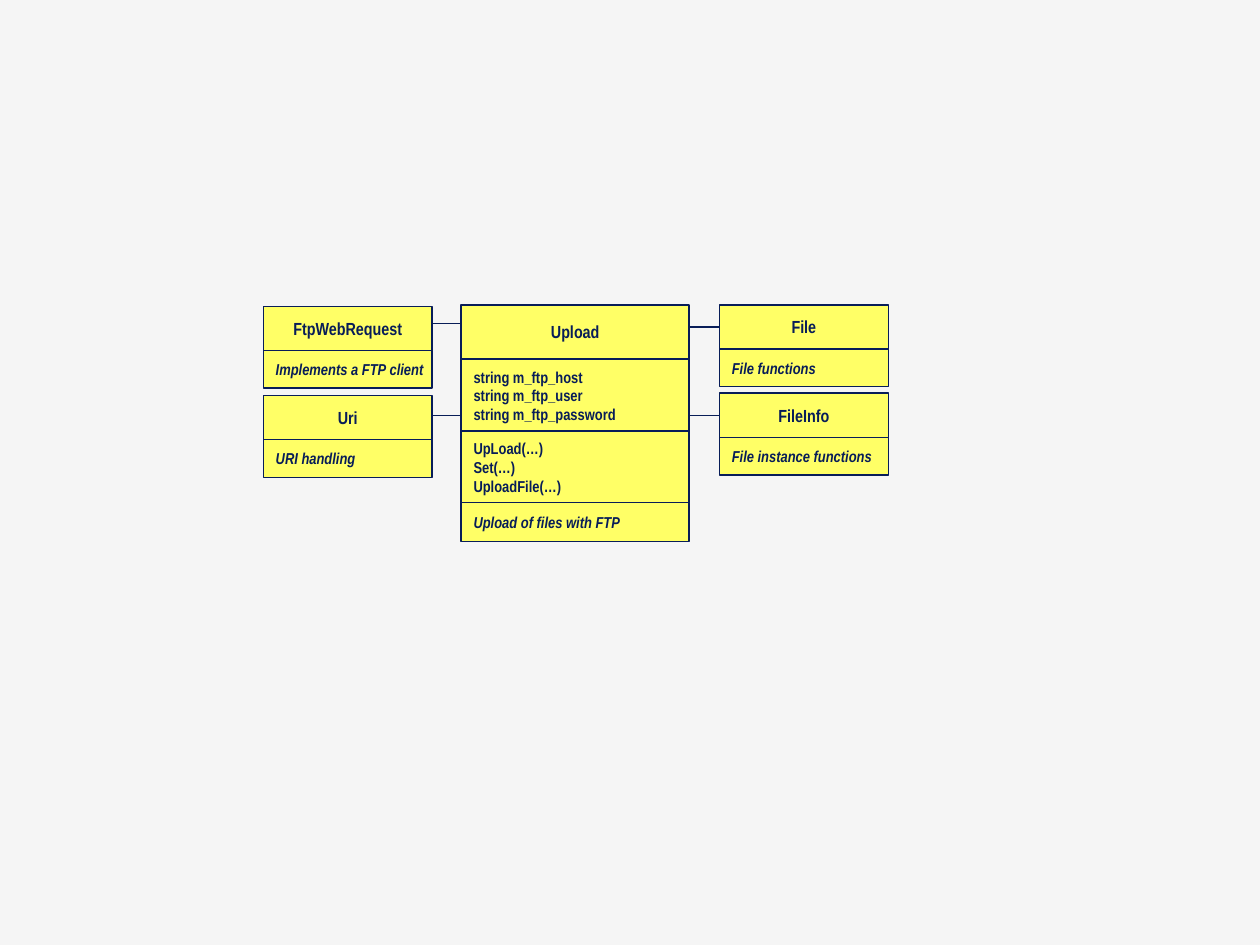
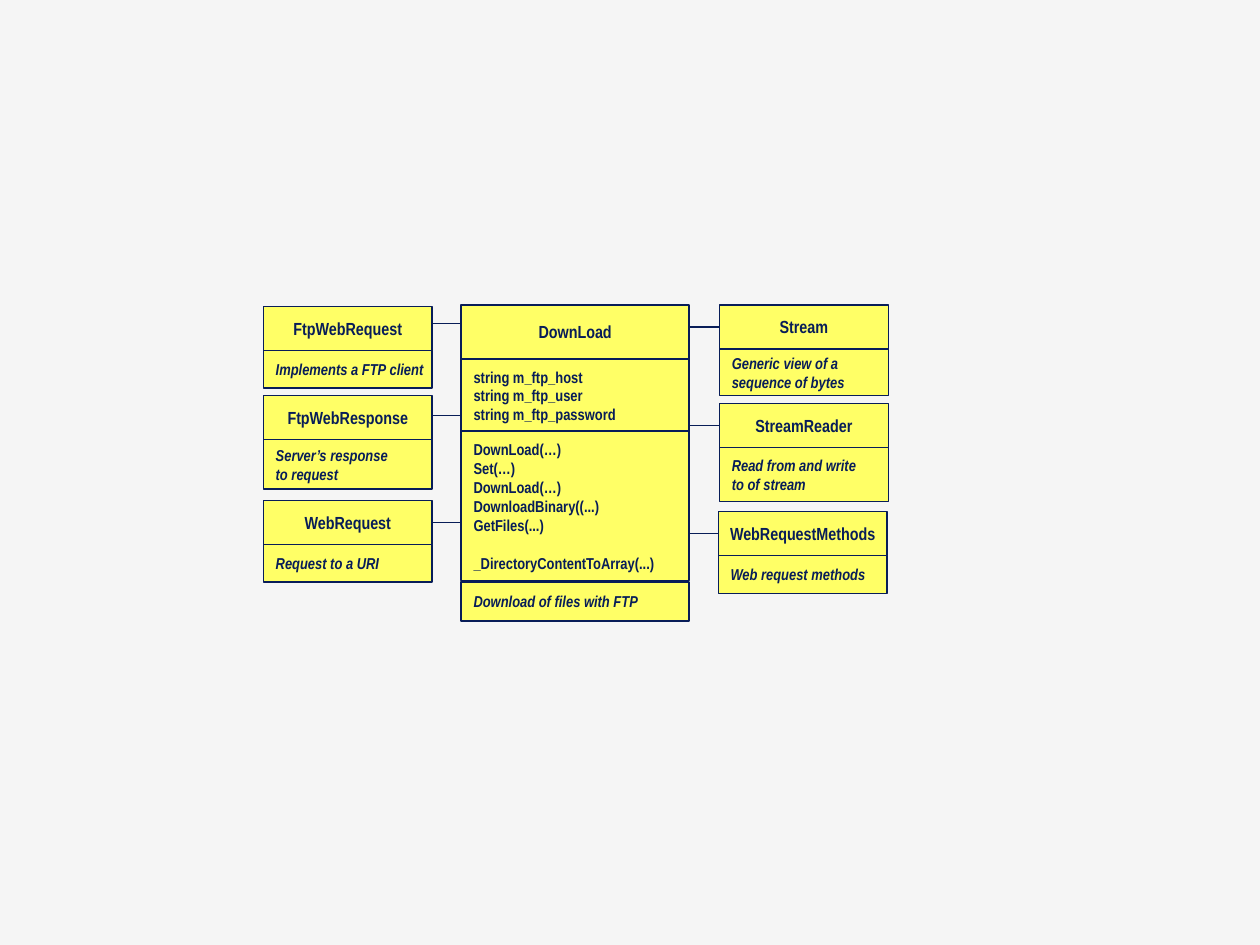
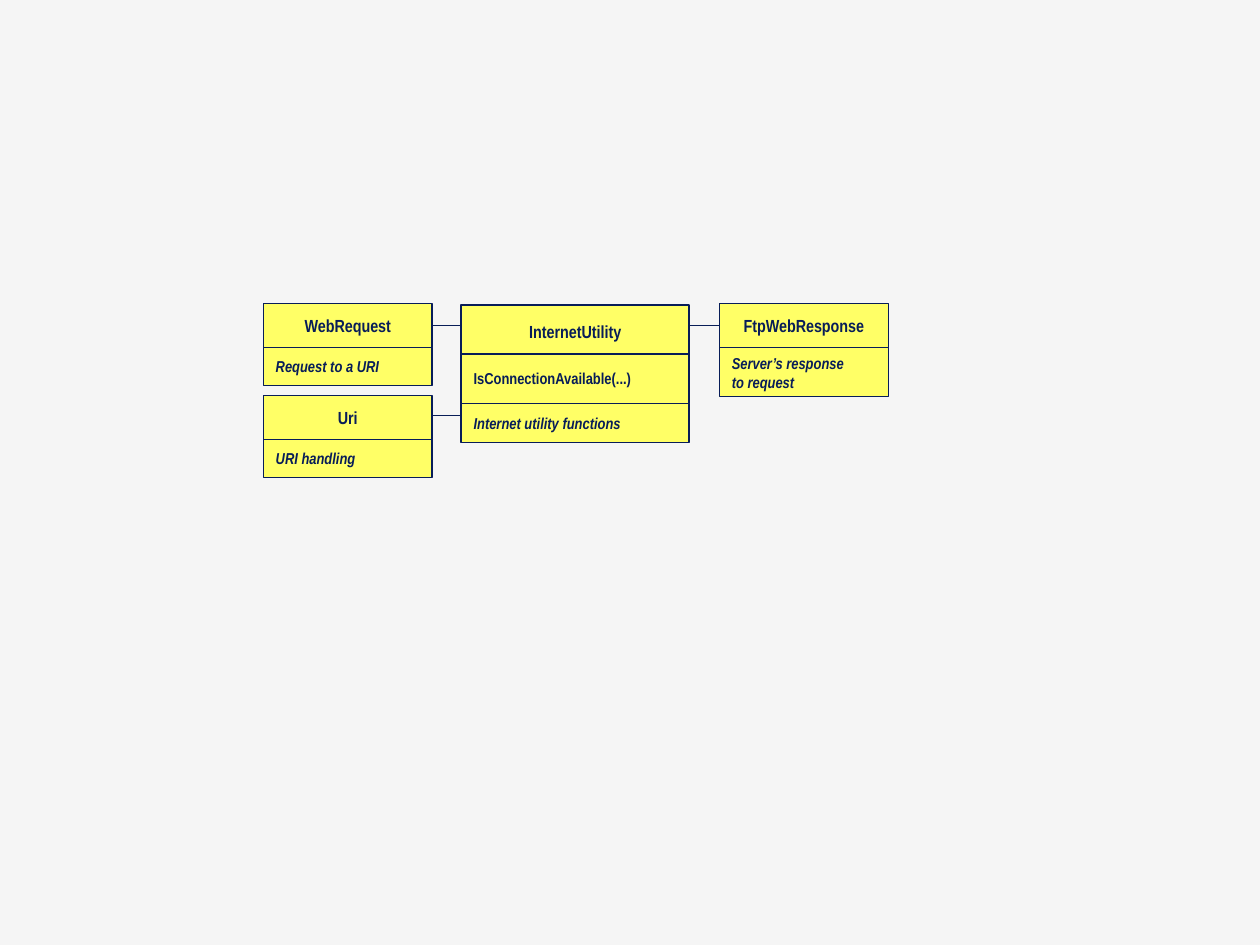
from pptx import Presentation
from pptx.dml.color import RGBColor
from pptx.enum import shapes, text
from pptx.oxml.ns import qn
from pptx.util import Inches, Pt

PAPER, YELLOW, NAVY = "F5F5F5", "FFFF66", "081D58"
FONT = "Arial Narrow"
LINE_WIDTH = Pt(0.75)
PRIVATE_GAP = Pt(10.8)  # sets private methods apart from public ones

LEFT_X, CORE_X, RIGHT_X = 2.09, 3.66, 5.71
SIDE_WIDTH, CORE_WIDTH = 1.34, 1.81
SIDE_TITLE_HEIGHT = 0.35

# Text styles: size, italic, alignment
TITLE = (10, False, text.PP_ALIGN.CENTER)
MEMBERS = (9, False, text.PP_ALIGN.LEFT)
NOTE = (9, True, text.PP_ALIGN.LEFT)

FTP_FIELDS = ["string m_ftp_host", "string m_ftp_user", "string m_ftp_password"]
FTP_REQUEST = dict(name="FtpWebRequest", note=["Implements a FTP client"],
                   top=2.43, note_height=0.3, link_y=2.57)
URI = dict(name="Uri", note=["URI handling"], top=3.14, note_height=0.3, link_y=3.3)
SERVER_RESPONSE = dict(name="FtpWebResponse", note=["Server’s response", "to request"],
                       note_height=0.39)
WEB_REQUEST = dict(name="WebRequest", note=["Request to a URI"], note_height=0.3)

# Core compartments: lines, style, top, height.
# Side classes link from the middle of their title unless link_y is given.
DIAGRAMS = [
    dict(
        core=[
            (["Upload"], TITLE, 2.42, 0.43),
            (FTP_FIELDS, MEMBERS, 2.85, 0.58),
            (["UpLoad(…)", "Set(…)", "UploadFile(…)"], MEMBERS, 3.42, 0.57),
            (["Upload of files with FTP"], NOTE, 3.99, 0.31),
        ],
        left=[FTP_REQUEST, URI],
        right=[
            dict(name="File", note=["File functions"], top=2.42, note_height=0.3),
            dict(name="FileInfo", note=["File instance functions"], top=3.12,
                 note_height=0.3),
        ],
    ),
    dict(
        core=[
            (["DownLoad"], TITLE, 2.42, 0.43),
            (FTP_FIELDS, MEMBERS, 2.85, 0.58),
            (["DownLoad(…)", "Set(…)", "DownLoad(…)", "DownloadBinary((...)",
              "GetFiles(...)", "_DirectoryContentToArray(...)"], MEMBERS, 3.42, 1.19),
            (["Download of files with FTP"], NOTE, 4.62, 0.31),
        ],
        left=[
            FTP_REQUEST,
            dict(SERVER_RESPONSE, top=3.14, link_y=3.3),
            dict(WEB_REQUEST, top=3.97),
        ],
        right=[
            dict(name="Stream", note=["Generic view of a", "sequence of bytes"],
                 top=2.42, note_height=0.37),
            dict(name="StreamReader", note=["Read from and write", "to of stream"],
                 top=3.2, note_height=0.43),
            dict(name="WebRequestMethods", note=["Web request methods"],
                 top=4.06, note_height=0.3, x=5.7),
        ],
    ),
    dict(
        core=[
            (["InternetUtility"], TITLE, 2.42, 0.43),
            (["IsConnectionAvailable(...)"], MEMBERS, 2.81, 0.39),
            (["Internet utility functions"], NOTE, 3.2, 0.31),
        ],
        left=[dict(WEB_REQUEST, top=2.41), URI],
        right=[dict(SERVER_RESPONSE, top=2.41)],
    ),
]


def paint(color_format, color):
    color_format.rgb = RGBColor.from_string(color)


def add_compartment(page, lines, style, left, top, width, height):
    size, italic, alignment = style
    box = page.shapes.add_shape(shapes.MSO_SHAPE.RECTANGLE, Inches(left), Inches(top),
                                Inches(width), Inches(height))
    box.shadow.inherit = False
    box.fill.solid()
    paint(box.fill.fore_color, YELLOW)
    paint(box.line.color, NAVY)
    box.line.width = LINE_WIDTH
    frame = box.text_frame
    frame.text = "\n".join(lines)
    frame.word_wrap = False
    frame.vertical_anchor = text.MSO_ANCHOR.MIDDLE
    for para in frame.paragraphs:
        para.alignment = alignment
        if para.text.startswith("_"):
            para.space_before = PRIVATE_GAP
        for span in para.runs:
            span.font.name = FONT
            span.font.size = Pt(size)
            span.font.bold = True
            span.font.italic = italic
            paint(span.font.color, NAVY)
    return box


def add_link(page, title, title_side, title_x, core_x, link_y):
    """Link a side class to the core, glued to its title when link_y is None."""
    y = title.top + title.height // 2 if link_y is None else Inches(link_y)
    link = page.shapes.add_connector(shapes.MSO_CONNECTOR.STRAIGHT, Inches(title_x), y,
                                     Inches(core_x), y)
    if link_y is None:
        link.begin_connect(title, title_side)
    paint(link.line.color, NAVY)
    link.line.width = LINE_WIDTH
    properties = link._element.spPr
    properties.append(properties.makeelement(qn("a:effectLst"), {}))


def add_side_class(page, entry, column_x, on_left):
    x = entry.get("x", column_x)
    top = entry["top"]
    title = add_compartment(page, [entry["name"]], TITLE, x, top, SIDE_WIDTH,
                            SIDE_TITLE_HEIGHT)
    add_compartment(page, entry["note"], NOTE, x, top + SIDE_TITLE_HEIGHT, SIDE_WIDTH,
                    entry["note_height"])
    if on_left:
        ends = (3, x + SIDE_WIDTH, CORE_X)
    else:
        ends = (1, x, CORE_X + CORE_WIDTH)
    add_link(page, title, *ends, entry.get("link_y"))


def main():
    deck = Presentation()
    deck.slide_width, deck.slide_height = Inches(10), Inches(7.5)
    backdrop = deck.slide_master.background.fill
    backdrop.solid()
    paint(backdrop.fore_color, PAPER)
    for diagram in DIAGRAMS:
        page = deck.slides.add_slide(deck.slide_layouts[6])
        for lines, style, top, height in diagram["core"]:
            add_compartment(page, lines, style, CORE_X, top, CORE_WIDTH, height)
        for entry in diagram["left"]:
            add_side_class(page, entry, LEFT_X, True)
        for entry in diagram["right"]:
            add_side_class(page, entry, RIGHT_X, False)
    deck.save("out.pptx")


if __name__ == "__main__":
    main()
